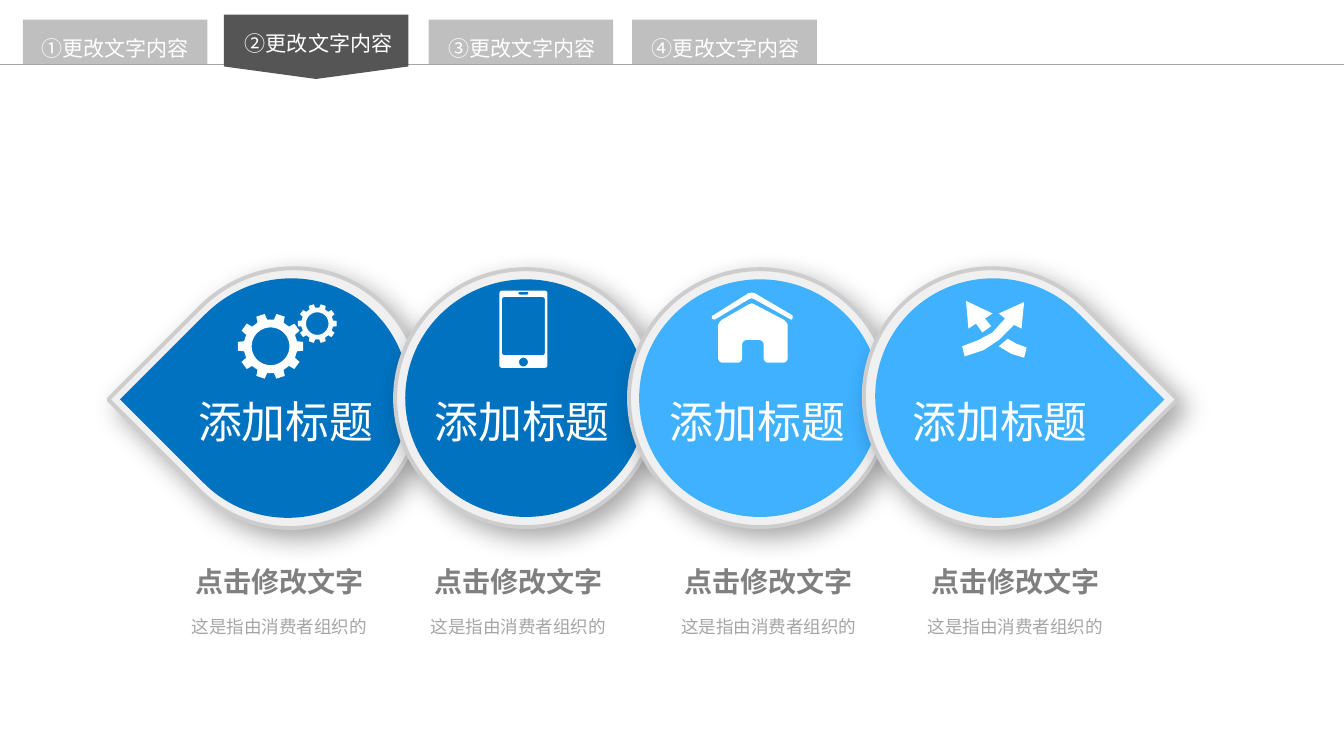
from math import cos, pi, sin, radians
from lxml.etree import SubElement
from pptx import Presentation
from pptx.dml.color import RGBColor
from pptx.enum.shapes import MSO_CONNECTOR, MSO_SHAPE
from pptx.enum.text import MSO_AUTO_SIZE, PP_ALIGN
from pptx.oxml.ns import qn
from pptx.util import Inches, Pt

DROP, DISC, PLATE = MSO_SHAPE.TEAR, MSO_SHAPE.OVAL, MSO_SHAPE.PENTAGON
STRAIGHT, CENTER = MSO_CONNECTOR.STRAIGHT, PP_ALIGN.CENTER
GROW = MSO_AUTO_SIZE.SHAPE_TO_FIT_TEXT
FONT = "Noto Sans CJK SC"
WHITE, RING, EDGE = "FFFFFF", "F0F0F0", "CDCDCF"
DEEP, LIGHT = "0072BF", "3FB1FF"

# text, middle of plate, active
TABS = [("①更改文字内容", 0.91, False), ("②更改文字内容", 2.5, True),
        ("③更改文字内容", 4.12, False), ("④更改文字内容", 5.73, False)]
TITLE, HEAD, NOTE = "添加标题", "点击修改文字", "这是指由消费者组织的"
# shape, turn, flip, colour, shift of core, middle of title, middle of caption
STEPS = [(DROP, 315, True, DEEP, -0.02, 2.26, 2.21),
         (DISC, 0, False, DEEP, 0, 4.13, 4.1),
         (DISC, 0, False, LIGHT, 0, 5.99, 6.08),
         (DROP, 45, False, LIGHT, 0.01, 7.91, 8.03)]
FIRST, PITCH, MID = 2.31, 1.85, 3.15

HOUSE = [(5.97, 2.41), (5.945, 2.4), (5.92, 2.41), (5.71, 2.53), (5.69, 2.55),
         (5.68, 2.57), (5.68, 2.84), (5.69, 2.86), (5.71, 2.87), (5.84, 2.87),
         (5.86, 2.86), (5.87, 2.84), (5.87, 2.72), (5.88, 2.7), (5.9, 2.69),
         (6.01, 2.69), (6.03, 2.7), (6.04, 2.72), (6.04, 2.84), (6.05, 2.86),
         (6.07, 2.87), (6.2, 2.87), (6.22, 2.86), (6.23, 2.84), (6.23, 2.57),
         (6.22, 2.55), (6.2, 2.53)]
ROOF = [(6.27, 2.52), (6.26, 2.53), (6.24, 2.52), (5.97, 2.37), (5.945, 2.36),
        (5.92, 2.37), (5.67, 2.52), (5.65, 2.53), (5.63, 2.52), (5.63, 2.5),
        (5.65, 2.49), (5.92, 2.32), (5.945, 2.315), (5.97, 2.32), (6.26, 2.49),
        (6.27, 2.5)]
RISE = [(8.1, 2.39), (7.9, 2.48), (7.95, 2.52), (7.85, 2.63), (7.74, 2.69),
        (7.61, 2.74), (7.63, 2.82), (7.78, 2.77), (7.9, 2.69), (8.02, 2.57),
        (8.08, 2.6)]
FALL = [(7.64, 2.38), (7.66, 2.6), (7.72, 2.56), (7.77, 2.63), (7.84, 2.58),
        (7.79, 2.52), (7.85, 2.48)]
TAIL = [(7.97, 2.68), (7.9, 2.74), (8, 2.8), (8.1, 2.83), (8.12, 2.75),
        (8.04, 2.72)]


def polar(x, y, r, deg):
    return x + r * cos(radians(deg)), y + r * sin(radians(deg))


def round_box(x, y, w, h, r):
    """Points of a rectangle with corner radius r."""
    hubs = [(x + w - r, y + h - r), (x + r, y + h - r),
            (x + r, y + r), (x + w - r, y + r)]
    return [polar(*hub, r, 90 * i + 10 * k)
            for i, hub in enumerate(hubs) for k in range(10)]


def gear(x, y, size):
    """Outline and hole of a wheel with ten teeth."""
    tooth = [(-10.8, 0.82), (-7.7, 1), (7.7, 1), (10.8, 0.82)]
    rim = [polar(x, y, size * r, 36 * i + a) for i in range(10) for a, r in tooth]
    hole = 0.575 * size
    return [rim, round_box(x - hole, y - hole, 2 * hole, 2 * hole, hole)]


PHONE = [round_box(3.95, 2.3, 0.38, 0.61, 0.02),
         round_box(3.97, 2.35, 0.34, 0.46, 0.02),
         round_box(4.1, 2.31, 0.08, 0.02, 0.01),
         round_box(4.105, 2.83, 0.07, 0.07, 0.035)]
ICONS = [[gear(2.14, 2.74, 0.26), gear(2.51, 2.56, 0.155)], [PHONE],
         [[HOUSE], [ROOF]], [[RISE, FALL, TAIL]]]

prs = Presentation()
prs.slide_width, prs.slide_height = Inches(10.63), Inches(5.91)
shapes = prs.slides.add_slide(prs.slide_layouts[6]).shapes


def paint(target, color):
    """Give a fill one solid colour."""
    target.solid()
    target.fore_color.rgb = RGBColor.from_string(color)


def put(kind, x, y, w, h, color, turn=0, flip=False):
    """Add a plain shape around the middle x, y."""
    s = shapes.add_shape(kind, Inches(x - w / 2), Inches(y - h / 2),
                         Inches(w), Inches(h))
    s.shadow.inherit = False
    paint(s.fill, color)
    s.line.fill.background()
    s.rotation = turn
    if flip:
        s.element.spPr.find(qn("a:xfrm")).set("flipH", "1")
    return s


def cast(s):
    """Drop a soft shadow to the lower right."""
    fx = s.element.spPr.find(qn("a:effectLst"))
    sh = SubElement(fx, qn("a:outerShdw"), blurRad=str(Pt(15)), dist=str(Pt(7)),
                    dir="2700000", algn="tl", rotWithShape="0")
    tone = SubElement(sh, qn("a:srgbClr"), val="000000")
    SubElement(tone, qn("a:alpha"), val="35000")


def draw(rings):
    """Add one white outline made of closed rings."""
    pen = None
    for ring in rings:
        pts = [(Inches(x), Inches(y)) for x, y in ring]
        if pen is None:
            pen = shapes.build_freeform(*pts[0], scale=1.0)
        else:
            pen.move_to(*pts[0])
        pen.add_line_segments(pts[1:], close=True)
    s = pen.convert_to_shape()
    s.shadow.inherit = False
    paint(s.fill, WHITE)
    s.line.fill.background()


def write(x, y, w, h, lines, pad=(0.1, 0.05), wrap=True, grow=True,
          gap=None, after=None):
    """Add centred lines of (text, size, colour, bold) around x."""
    box = shapes.add_textbox(Inches(x - w / 2), Inches(y), Inches(w), Inches(h))
    tf = box.text_frame
    tf.word_wrap = wrap
    if grow:
        tf.auto_size = GROW
    tf.margin_left = tf.margin_right = Inches(pad[0])
    tf.margin_top = tf.margin_bottom = Inches(pad[1])
    for i, (text, size, color, bold) in enumerate(lines):
        p = tf.add_paragraph() if i else tf.paragraphs[0]
        p.text, p.alignment = text, CENTER
        if gap:
            p.line_spacing = gap
        if after:
            p.space_after = Pt(after)
        font = p.font
        font.size, font.bold, font.name = Pt(size), bold, FONT
        paint(font.fill, color)
        SubElement(p._p.pPr.find(qn("a:defRPr")), qn("a:ea"), typeface=FONT)


for i, (kind, turn, flip, color, shift, mid, _) in enumerate(STEPS):
    x = FIRST + PITCH * i
    ring = put(kind, x, MID, 2.07, 2.04, RING, turn, flip)
    paint(ring.line.fill, EDGE)
    ring.line.width = Pt(2.25)
    cast(ring)
    put(kind, x + shift, MID, 1.91, 1.88, color, turn, flip)
    for icon in ICONS[i]:
        draw(icon)
    write(mid, 3.08, 1.56, 0.5, [(TITLE, 25, WHITE, False)],
          pad=(0.08, 0.04), wrap=False)

for *_, mid in STEPS:
    write(mid, 4.34, 1.95, 0.75,
          [(HEAD, 16, "808080", True), (NOTE, 10, "A6A6A6", False)],
          gap=1.3, after=6)

rule = shapes.add_connector(STRAIGHT, 0, Inches(0.51), Inches(10.63), Inches(0.51))
paint(rule.line.fill, "A6A6A6")
rule.line.width = Pt(0.75)
SubElement(rule.element.spPr, qn("a:effectLst"))

for i, (text, mid, active) in enumerate(TABS):
    y, deep, tip, tone, top = ((0.37, 0.51, 0.194, "555555", 0.2) if active
                               else (0.33, 0.35, 0, "BFBFBF", 0.24))
    plate = put(PLATE, mid, y, deep, 1.46, tone, 90)
    plate.adjustments[0] = tip
    write(0.91 + 1.61 * i, top, 2.26, 0.27, [(text, 12, WHITE, False)],
          pad=(0, 0), grow=False, gap=1.2)

prs.save("out.pptx")
